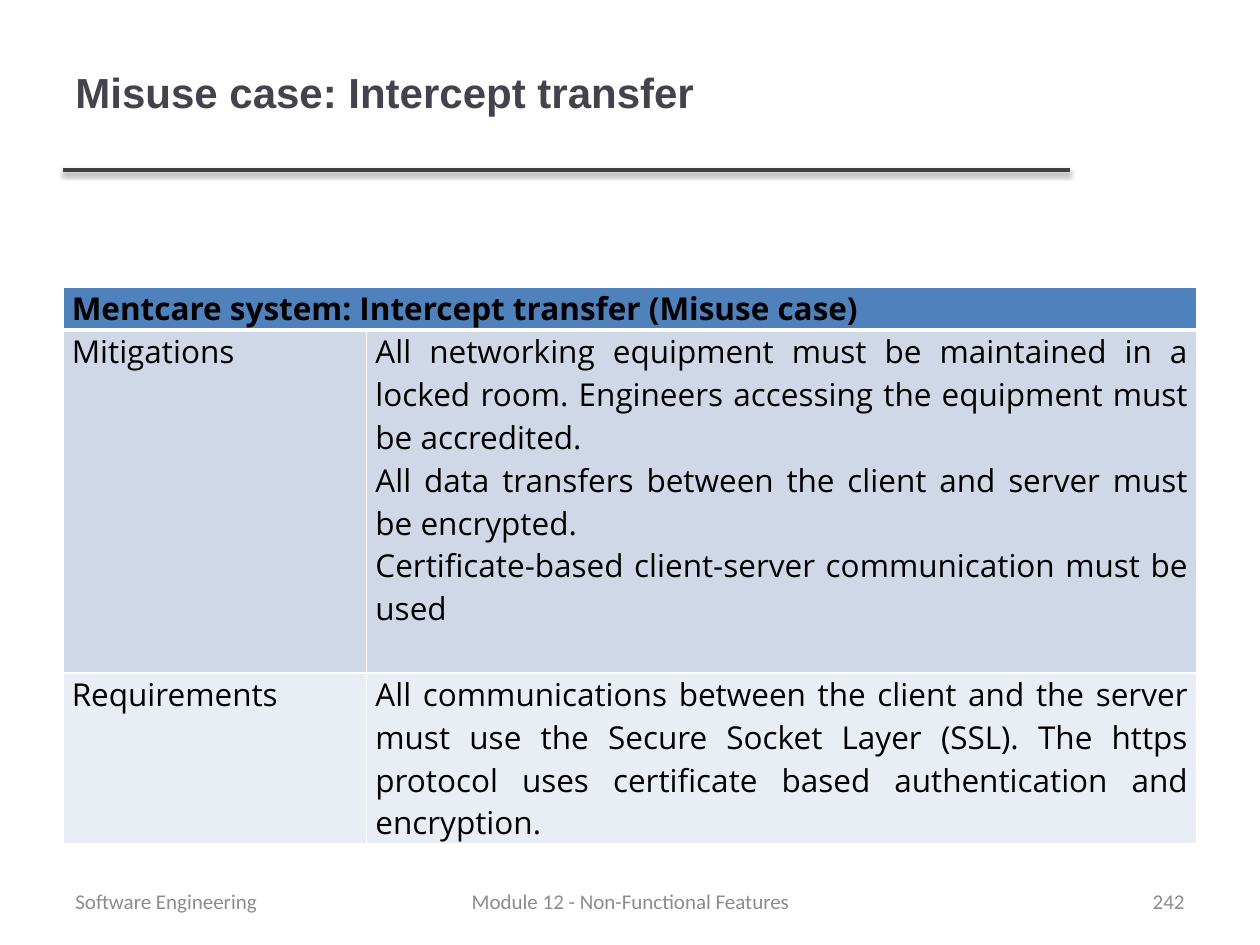
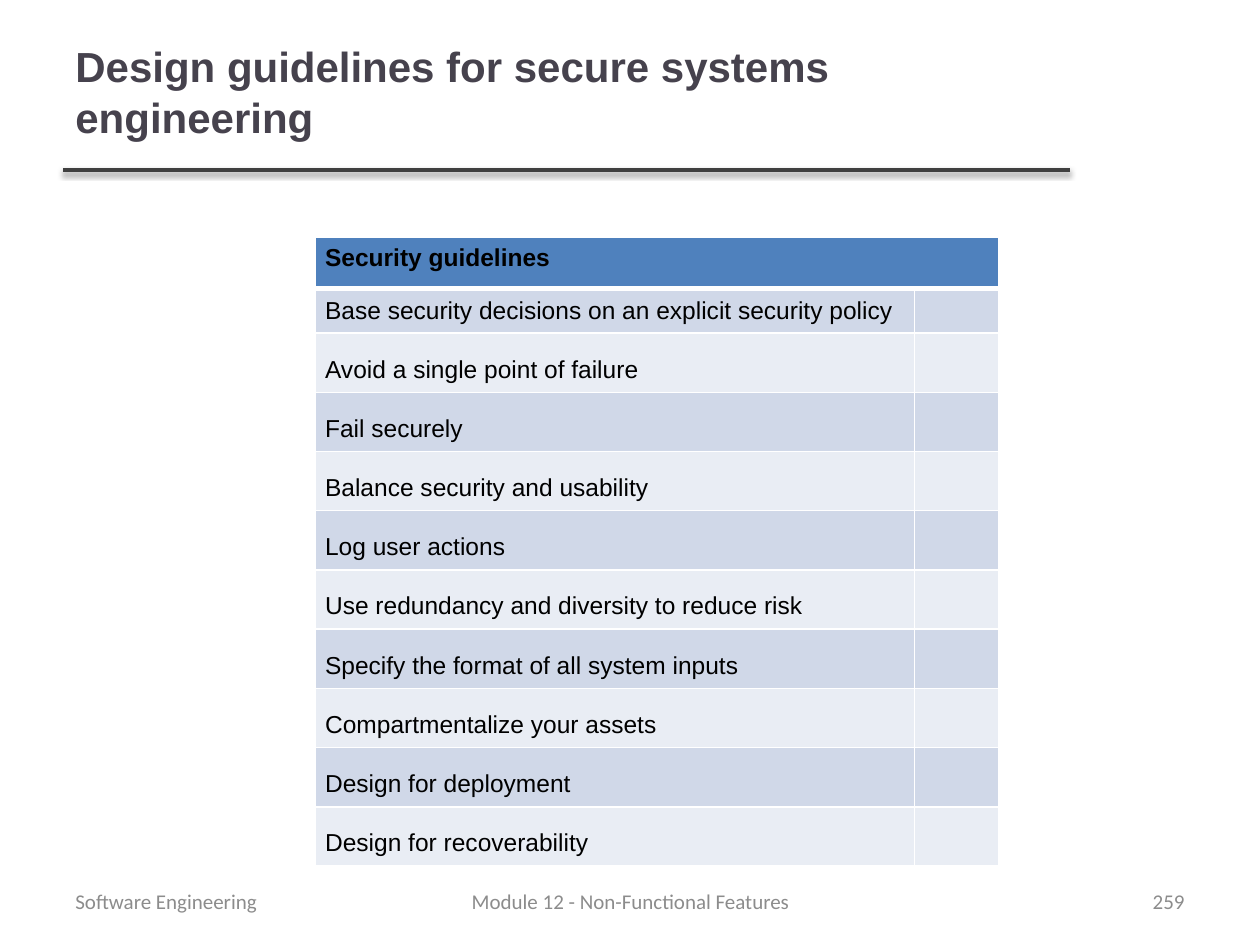
from lxml import etree
from pptx import Presentation
from pptx import util as u
from pptx.dml.color import RGBColor
from pptx.enum import shapes, text
from pptx.oxml import ns

ALIGN = text.PP_ALIGN
ANCHOR = text.MSO_ANCHOR
HEADER_FILL = "4F81BD"
BAND_FILLS = ["D0D8E8", "E9EDF4"]
BORDER = "FFFFFF"
RULE = "404040"
TITLE = {"size": 24, "name": "Arial", "color": "46424D", "bold": True}
FOOTER = {"size": 12, "name": "Calibri", "color": "8C8C8C"}
MISUSE = {"size": 18, "name": "Open Sans", "color": "000000"}
GUIDELINE = {"size": 14, "name": "Arial", "color": "000000"}


def rgb(hex_string):
    """Turn a hex string into a colour."""
    return RGBColor.from_string(hex_string)


def add_element(parent, tag, **attributes):
    """Append a DrawingML element and return it."""
    values = {key: str(value) for key, value in attributes.items()}
    return etree.SubElement(parent, ns.qn("a:" + tag), values)


def add_color(parent, hex_string):
    """Append an RGB colour element and return it."""
    return add_element(parent, "srgbClr", val=hex_string)


class Deck:
    """Holds the presentation, its shared style and the current slide."""

    def __init__(self):
        """Start an empty 10 by 7.5 inch presentation."""
        self.presentation = Presentation()
        self.presentation.slide_width = u.Inches(10)
        self.presentation.slide_height = u.Inches(7.5)
        self.slide = None

    def new_slide(self, title, number):
        """Add a slide with the shared rule, title and footers."""
        layout = self.presentation.slide_layouts[6]
        self.slide = self.presentation.slides.add_slide(layout)
        self.rule(0.5, 8.49, 1.35)
        self.text_box(title, (0.5, 0.1, 7.98, 1.25), TITLE, ALIGN.LEFT)
        for words, left, width, align in [
            ("Software Engineering", 0.5, 2.33, ALIGN.LEFT),
            ("Module 12 - Non-Functional Features", 3.42, 3.17, ALIGN.CENTER),
            (str(number), 7.17, 2.33, ALIGN.RIGHT),
        ]:
            self.text_box(words, (left, 6.95, width, 0.4), FOOTER, align)

    def rule(self, left, right, top):
        """Draw the horizontal title rule with its soft shadow."""
        line = self.slide.shapes.add_connector(
            shapes.MSO_CONNECTOR.STRAIGHT,
            *map(u.Inches, (left, top, right, top)))
        line.line.color.rgb = rgb(RULE)
        line.line.width = u.Pt(2)
        effects = add_element(line._element.spPr, "effectLst")
        shadow = add_element(effects, "outerShdw", blurRad=u.Pt(3.1),
                             dist=u.Pt(1.6), dir=90 * 60000, rotWithShape=0)
        add_element(add_color(shadow, "000000"), "alpha", val=38000)

    def paragraphs(self, frame, lines, style, align, spacing=1.0):
        """Add one formatted paragraph for each line."""
        for index, words in enumerate(lines):
            paragraph = frame.add_paragraph() if index else frame.paragraphs[0]
            paragraph.alignment = align
            paragraph.line_spacing = spacing
            run = paragraph.add_run()
            run.text = words
            for name, value in style.items():
                if name == "color":
                    run.font.color.rgb = rgb(value)
                else:
                    setattr(run.font, name,
                            u.Pt(value) if name == "size" else value)

    def text_box(self, words, box, style, align):
        """Add a wrapped, vertically centred text box."""
        shape = self.slide.shapes.add_textbox(*map(u.Inches, box))
        frame = shape.text_frame
        frame.word_wrap = True
        frame.vertical_anchor = ANCHOR.MIDDLE
        self.paragraphs(frame, [words], style, align)

    def cell(self, cell, fill, bottom=1):
        """Give a cell its borders and fill, without insets."""
        for side in ("left", "right", "top", "bottom"):
            setattr(cell, "margin_" + side, 0)
        properties = cell._tc.get_or_add_tcPr()
        for side in "LRTB":
            width = bottom if side == "B" else 1
            border = add_element(properties, "ln" + side, w=u.Pt(width))
            add_color(add_element(border, "solidFill"), BORDER)
        cell.fill.solid()
        cell.fill.fore_color.rgb = rgb(fill)

    def cell_text(self, cell, lines, style, insets, anchor, spacing=1.0):
        """Put justified lines in a cell."""
        across, down = map(u.Inches, insets)
        cell.margin_left = cell.margin_right = across
        cell.margin_top = cell.margin_bottom = down
        cell.vertical_anchor = anchor
        self.paragraphs(cell.text_frame, lines, style, ALIGN.JUSTIFY, spacing)

    def table(self, left, top, columns, heights, header, rows, style,
              insets, anchor, spacings):
        """Add a banded table under a header that spans all columns."""
        frame = self.slide.shapes.add_table(
            len(heights), len(columns), *map(
                u.Inches, (left, top, sum(columns), sum(heights))))
        table = frame.table
        table.first_row = table.horz_banding = False
        for column, width in zip(table.columns, columns):
            column.width = u.Inches(width)
        for index, height in enumerate(heights):
            table.rows[index].height = u.Inches(height)
            fill = BAND_FILLS[(index - 1) % 2] if index else HEADER_FILL
            for cell in table.rows[index].cells:
                self.cell(cell, fill, 1 if index else 3)
        title = table.cell(0, 0)
        title.merge(table.cell(0, len(columns) - 1))
        self.cell_text(title, [header], {**style, "bold": True}, insets,
                       ANCHOR.TOP)
        for index, (row, spacing) in enumerate(zip(rows, spacings), 1):
            for column, lines in enumerate(row):
                self.cell_text(table.cell(index, column), lines, style,
                               insets, anchor, spacing)


deck = Deck()

deck.new_slide("Misuse case: Intercept transfer", 242)
misuse_rows = [
    (["Mitigations"], [
        "All networking equipment must be maintained in a locked room. "
        "Engineers accessing the equipment must be accredited.",
        "All data transfers between the client and server must be encrypted.",
        "Certificate-based client-server communication must be used",
    ]),
    (["Requirements"], [
        "All communications between the client and the server must use the "
        "Secure Socket Layer (SSL). The https protocol uses certificate "
        "based authentication and encryption.",
    ]),
]
deck.table(0.5, 2.28, [2.41, 6.59], [0.34, 2.72, 1.36],
           "Mentcare system: Intercept transfer (Misuse case)", misuse_rows,
           MISUSE, (0.07, 0), ANCHOR.TOP, [1.0, 1.0])

deck.new_slide("Design guidelines for secure systems engineering", 259)
guidelines = [
    "Base security decisions on an explicit security policy",
    "Avoid a single point of failure",
    "Fail securely",
    "Balance security and usability",
    "Log user actions",
    "Use redundancy and diversity to reduce risk",
    "Specify the format of all system inputs",
    "Compartmentalize your assets",
    "Design for deployment",
    "Design for recoverability",
]
later = len(guidelines) - 1
deck.table(2.5, 1.88, [4.76, 0.67], [0.41, 0.34] + [0.45] * later,
           "Security guidelines", [([words],) for words in guidelines],
           GUIDELINE, (0.08, 0.06), ANCHOR.MIDDLE, [1.0] + [1.5] * later)

deck.presentation.save("out.pptx")
